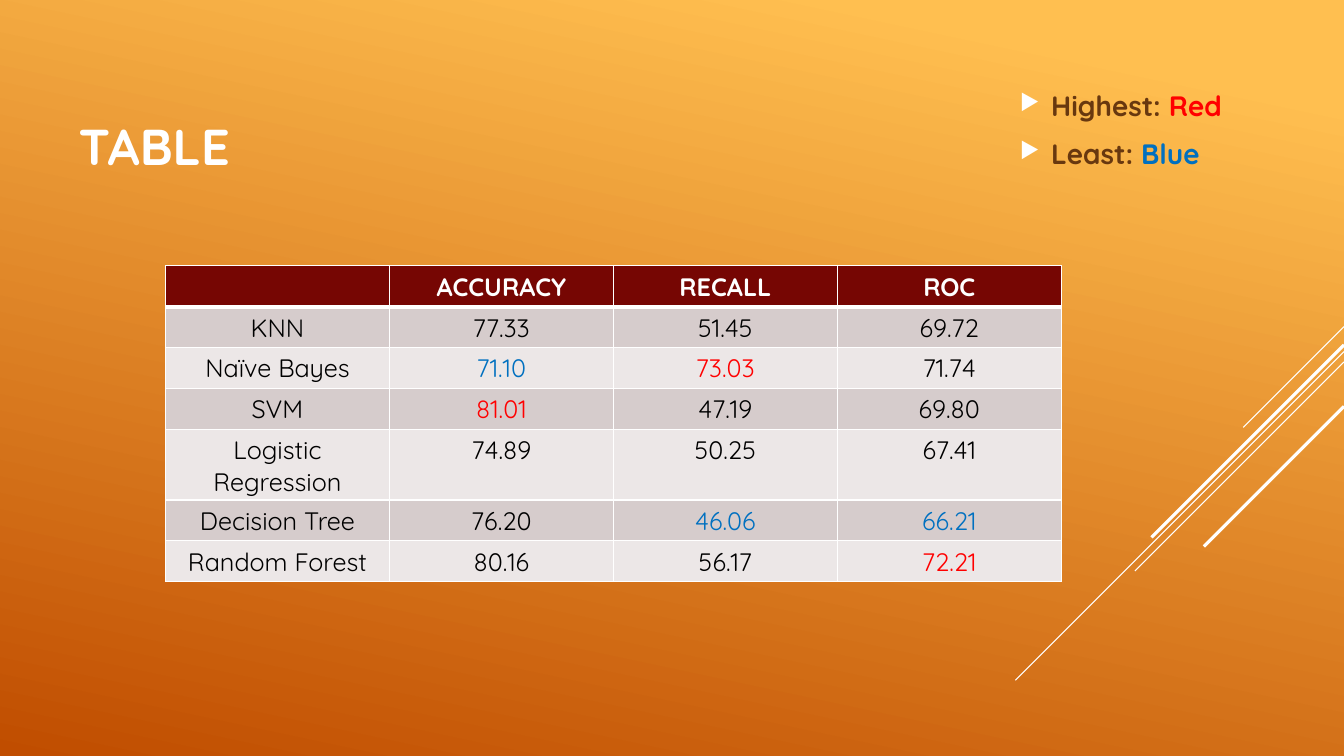
import lxml.etree
import pptx
import pptx.dml.color
import pptx.enum.shapes
import pptx.enum.text
import pptx.oxml
import pptx.oxml.ns
import pptx.util

Cm, Pt = pptx.util.Cm, pptx.util.Pt
qn = pptx.oxml.ns.qn
MIDDLE = pptx.enum.text.MSO_ANCHOR.MIDDLE
WHITE, BLACK, RED, BLUE = "FFFFFF", "000000", "FF0000", "0070C0"


def color(value):
    return pptx.dml.color.RGBColor.from_string(value)


def style(run, size, value, bold):
    run.font.name = "Quicksand"
    run.font.size = Pt(size)
    run.font.bold = bold
    run.font.color.rgb = color(value)


deck = pptx.Presentation()
deck.slide_width, deck.slide_height = Cm(33.87), Cm(19.05)
slide = deck.slides.add_slide(deck.slide_layouts[6])

# Background gradient
backdrop = slide.background.fill
backdrop.gradient()
backdrop.gradient_angle = 258
for stop, (position, value) in zip(backdrop.gradient_stops, [(0.1, "FFBF50"), (1, "C04D00")]):
    stop.position = position
    stop.color.rgb = color(value)

# Diagonal rays from the right edge: top, horizontal run, line width
for top, reach, weight in [(8.23, 2.54, 0.75), (8.86, 8.28, 0.75), (9.12, 5.27, 0.75),
                           (8.69, 4.85, 2.25), (10.24, 3.53, 2.25)]:
    ray = slide.shapes.add_connector(pptx.enum.shapes.MSO_CONNECTOR.STRAIGHT,
                                     Cm(33.87), Cm(top), Cm(33.87 - reach), Cm(top + reach))
    ray.line.color.rgb = color(WHITE)
    ray.line.width = Pt(weight)
    lxml.etree.SubElement(ray._element.spPr, qn("a:effectLst"))

# Title
title = slide.shapes.add_textbox(Cm(1.73), Cm(1.57), Cm(23.7), Cm(4.19)).text_frame
title.word_wrap = True
title.vertical_anchor = MIDDLE
title.text = "TABLE"
style(title.paragraphs[0].runs[0], 36, WHITE, True)

# Colour key
key = slide.shapes.add_textbox(Cm(25.45), Cm(2.03), Cm(6.05), Cm(2.46)).text_frame
key.word_wrap = True
key.vertical_anchor = MIDDLE
key.text = "Highest: \nLeast: "
for entry, (word, value) in zip(key.paragraphs, [("Red", RED), ("Blue", BLUE)]):
    style(entry.runs[0], 20, "68380F", True)
    meaning = entry.add_run()
    meaning.text = word
    style(meaning, 20, value, True)
    entry.space_before, entry.space_after = Pt(4), Pt(6)
    indent = entry._p.get_or_add_pPr()
    indent.set("marL", str(Cm(0.79)))
    indent.set("indent", str(-Cm(0.79)))
    bullet_color = lxml.etree.SubElement(indent, qn("a:buClr"))
    lxml.etree.SubElement(bullet_color, qn("a:srgbClr"), val=WHITE)
    lxml.etree.SubElement(indent, qn("a:buSzPct"), val="80000")
    lxml.etree.SubElement(indent, qn("a:buChar"), char="▶")

# Score table
header = ["", "ACCURACY", "RECALL", "ROC"]
scores = [
    ["KNN", "77.33", "51.45", "69.72"],
    ["Naïve Bayes", "71.10", "73.03", "71.74"],
    ["SVM", "81.01", "47.19", "69.80"],
    ["Logistic Regression", "74.89", "50.25", "67.41"],
    ["Decision Tree", "76.20", "46.06", "66.21"],
    ["Random Forest", "80.16", "56.17", "72.21"],
]
rows = [header] + scores
table = slide.shapes.add_table(len(rows), len(header), Cm(4.17), Cm(6.7),
                               Cm(22.58), Cm(7.21)).table
for column in table.columns:
    column.width = Cm(5.645)
for r, row in enumerate(rows):
    table.rows[r].height = Cm(1.03)
    for c, text in enumerate(row):
        cell = table.cell(r, c)
        cell.fill.solid()
        cell.fill.fore_color.rgb = color("760603" if r == 0 else ["ECE7E7", "D6CCCC"][r % 2])
        cell.text_frame.text = text
        entry = cell.text_frame.paragraphs[0]
        entry.alignment = pptx.enum.text.PP_ALIGN.CENTER

        # Highest score of a column is red, lowest is blue
        column_scores = [line[c] for line in scores]
        value = WHITE if r == 0 else BLACK
        if r and c and text == max(column_scores, key=float):
            value = RED
        elif r and c and text == min(column_scores, key=float):
            value = BLUE
        for run in entry.runs:
            style(run, 18, value, r == 0)

        # White borders, thicker under the header
        for place, side in enumerate(["lnL", "lnR", "lnT", "lnB"]):
            thick = (r, side) in [(0, "lnB"), (1, "lnT")]
            border = pptx.oxml.parse_xml(
                f'<a:{side} {pptx.oxml.ns.nsdecls("a")} w="{Pt(3 if thick else 1)}">'
                f'<a:solidFill><a:srgbClr val="{WHITE}"/></a:solidFill></a:{side}>')
            cell._tc.get_or_add_tcPr().insert(place, border)

deck.save("out.pptx")
